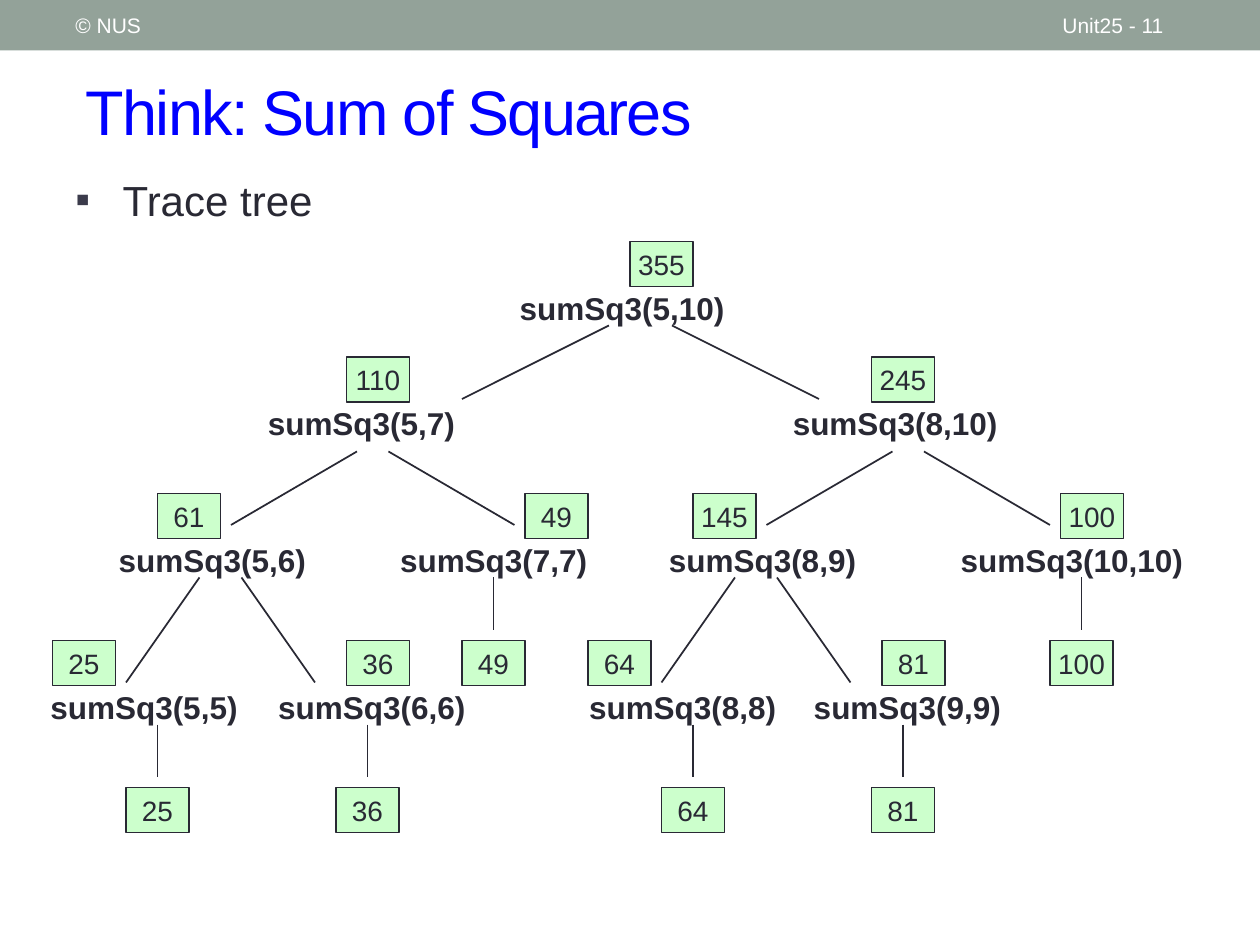
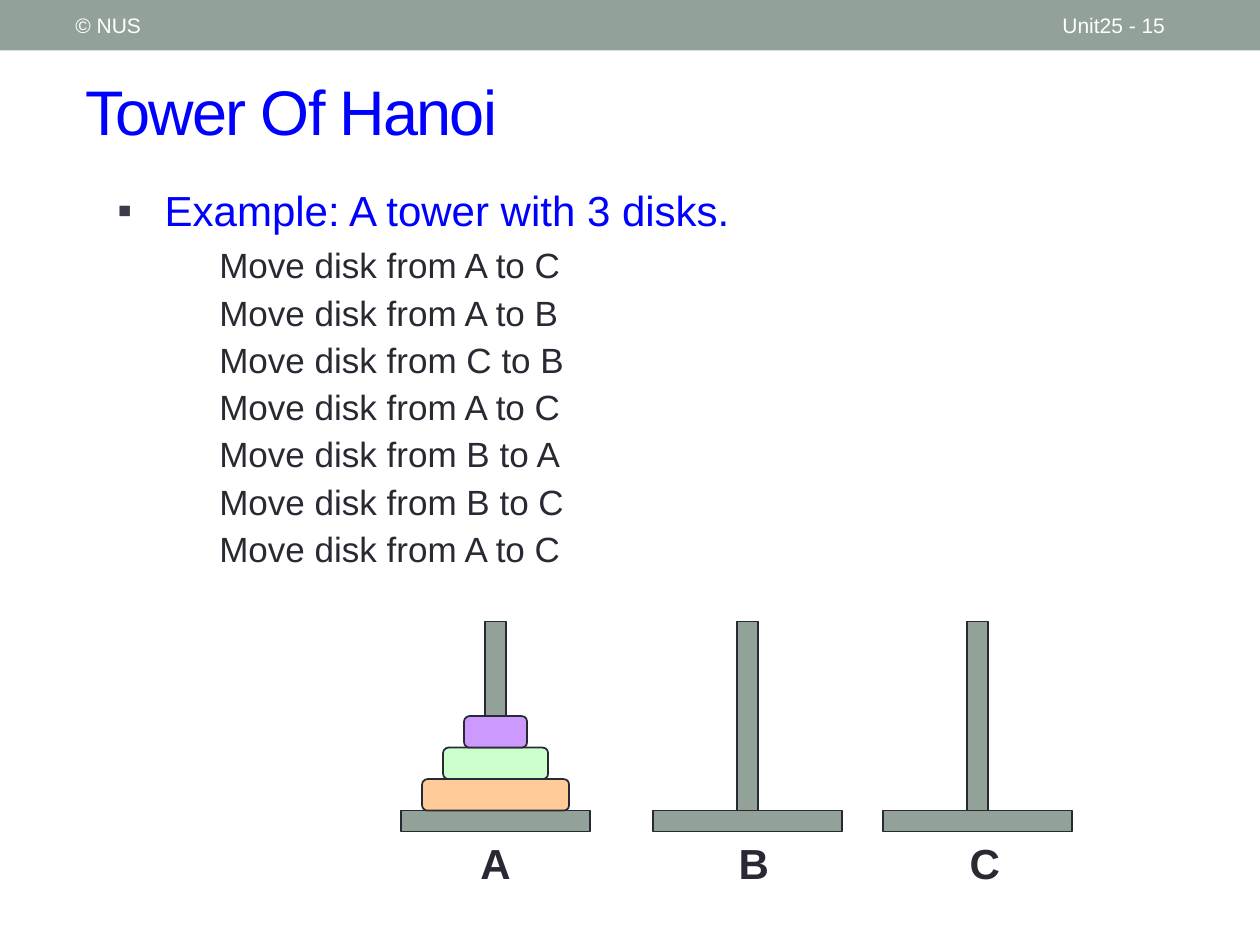
from dataclasses import dataclass

from lxml.etree import SubElement
from pptx import Presentation
from pptx.dml.color import RGBColor
from pptx.enum.shapes import MSO_CONNECTOR as CONN, MSO_SHAPE as SHAPE
from pptx.enum.text import MSO_ANCHOR as ANCHOR, PP_ALIGN as ALIGN
from pptx.oxml.ns import qn
from pptx.util import Emu, Pt

PX = 914400 // 120
FONT = "Arial"
BAND, INK, BLUE, WHITE = "93A299", "292934", "0000FF", "FFFFFF"
BULLET, GREEN, ORANGE, PURPLE = "3B3B4B", "CCFFCC", "FFCC99", "CC99FF"
VALUE_W, VALUE_H = 60, 43
ROW_TOPS = (230, 340, 470, 610)
BASE_TOP, BASE_W, POLE_W, DISK_H = 772, 180, 20, 30


@dataclass(frozen=True)
class Box:
    x: int
    y: int
    w: int
    h: int


@dataclass(frozen=True)
class Style:
    size: int
    color: str = INK
    bold: bool = False
    spacing: int = 0


@dataclass(frozen=True)
class Call:
    args: str
    row: int
    label_x: int
    label_w: int
    value: int
    value_x: int


@dataclass(frozen=True)
class Branch:
    left: int
    right: int
    y: int
    dx: int
    dy: int


@dataclass(frozen=True)
class Leaf:
    value: int
    x: int
    y: int


@dataclass(frozen=True)
class Peg:
    name: str
    x: int
    label_x: int


@dataclass(frozen=True)
class Disk:
    w: int
    color: str


TITLE = Style(36, BLUE, spacing=-100)
HEADER = Style(12, WHITE)
CALL = Style(18, bold=True)
VALUE = Style(16)
PEG = Style(24, bold=True)

CALLS = (
    Call("5,10", 0, 490, 290, 355, 600),
    Call("5,7", 1, 250, 270, 110, 330),
    Call("8,10", 1, 750, 270, 245, 830),
    Call("5,6", 2, 108, 192, 61, 150),
    Call("7,7", 2, 376, 194, 49, 500),
    Call("8,9", 2, 632, 198, 145, 660),
    Call("10,10", 2, 910, 228, 100, 1010),
    Call("5,5", 3, 43, 197, 25, 50),
    Call("6,6", 3, 260, 199, 36, 330),
    Call("8,8", 3, 556, 194, 64, 560),
    Call("9,9", 3, 770, 198, 81, 840),
)
BRANCHES = (
    Branch(580, 640, 310, 140, 70),
    Branch(340, 370, 430, 120, 70),
    Branch(850, 880, 430, 120, 70),
    Branch(190, 230, 550, 70, 100),
    Branch(700, 740, 550, 70, 100),
)
LEAVES = (
    Leaf(49, 470, 550),
    Leaf(100, 1030, 550),
    Leaf(25, 150, 690),
    Leaf(36, 350, 690),
    Leaf(64, 660, 690),
    Leaf(81, 860, 690),
)
PEGS = (Peg("A", 382, 442), Peg("B", 622, 688), Peg("C", 841, 908))
DISKS = (Disk(140, ORANGE), Disk(100, GREEN), Disk(60, PURPLE))
MOVES = ("AC", "AB", "CB", "AC", "BA", "BC", "AC")


def px(n: int) -> Emu:
    return Emu(n * PX)


def rgb(color: str) -> RGBColor:
    return RGBColor.from_string(color)


def bounds(box: Box) -> tuple[Emu, ...]:
    return px(box.x), px(box.y), px(box.w), px(box.h)


def add_run(p, text: str, style: Style) -> None:
    r = p.add_run()
    r.text = text
    r.font.name = FONT
    r.font.size = Pt(style.size)
    r.font.bold = style.bold
    r.font.color.rgb = rgb(style.color)
    if style.spacing:
        r._r.get_or_add_rPr().set("spc", str(style.spacing))


def set_frame(sp, inset_x: int, inset_y: int, anchor=ANCHOR.TOP):
    tf = sp.text_frame
    tf.word_wrap = True
    tf.margin_left = tf.margin_right = px(inset_x)
    tf.margin_top = tf.margin_bottom = px(inset_y)
    tf.vertical_anchor = anchor
    return tf


def add_text(s, box: Box, text: str, style: Style, align=ALIGN.LEFT,
             anchor=ANCHOR.TOP, inset_x: int = 12, inset_y: int = 6) -> None:
    tf = set_frame(s.shapes.add_textbox(*bounds(box)), inset_x, inset_y, anchor)
    p = tf.paragraphs[0]
    p.alignment = align
    add_run(p, text, style)


def add_block(s, box: Box, fill: str, kind=SHAPE.RECTANGLE, outlined: bool = True):
    sp = s.shapes.add_shape(kind, *bounds(box))
    sp.shadow.inherit = False
    sp.fill.solid()
    sp.fill.fore_color.rgb = rgb(fill)
    if outlined:
        sp.line.color.rgb = rgb(INK)
        sp.line.width = Pt(1)
    else:
        sp.line.fill.background()
    return sp


def add_line(s, x1: int, y1: int, x2: int, y2: int) -> None:
    line = s.shapes.add_connector(CONN.STRAIGHT, px(x1), px(y1), px(x2), px(y2))
    line.line.color.rgb = rgb(INK)
    line.line.width = Pt(1)
    SubElement(line._element.spPr, qn("a:effectLst"))


def indent(p, left: int, first: int = 0) -> None:
    pPr = p._p.get_or_add_pPr()
    pPr.set("marL", str(px(left)))
    pPr.set("indent", str(px(first)))


def add_bullet(p, text: str, style: Style) -> None:
    indent(p, 45, -45)
    pPr = p._p.get_or_add_pPr()
    SubElement(SubElement(pPr, qn("a:buClr")), qn("a:srgbClr"), val=BULLET)
    SubElement(pPr, qn("a:buFont"), typeface=FONT)
    SubElement(pPr, qn("a:buChar"), char="▪")
    add_run(p, text, style)


def add_body(s, box: Box):
    return set_frame(s.shapes.add_textbox(*bounds(box)), 12, 6)


def new_slide(prs, title: str, page: int):
    s = prs.slides.add_slide(prs.slide_layouts[6])
    add_block(s, Box(0, 0, 1200, 48), BAND, outlined=False)
    add_text(s, Box(70, 50, 1100, 110), title, TITLE, anchor=ANCHOR.MIDDLE)
    add_text(s, Box(1000, 2, 140, 44), f"Unit25 - {page}", HEADER, anchor=ANCHOR.MIDDLE)
    add_text(s, Box(60, 2, 380, 44), "© NUS", HEADER, anchor=ANCHOR.MIDDLE)
    return s


def add_value(s, x: int, y: int, value: int) -> None:
    sp = add_block(s, Box(x, y, VALUE_W, VALUE_H), GREEN)
    p = set_frame(sp, 5, 5, ANCHOR.MIDDLE).paragraphs[0]
    p.alignment = ALIGN.CENTER
    add_run(p, str(value), VALUE)


def add_call(s, call: Call) -> None:
    top = ROW_TOPS[call.row]
    add_text(s, Box(call.label_x, top + 40, call.label_w, 46),
             f"sumSq3({call.args})", CALL, inset_x=5, inset_y=5)
    add_value(s, call.value_x, top, call.value)


def add_branch(s, b: Branch) -> None:
    add_line(s, b.left, b.y, b.left - b.dx, b.y + b.dy)
    add_line(s, b.right, b.y, b.right + b.dx, b.y + b.dy)


def add_leaf(s, leaf: Leaf) -> None:
    add_line(s, leaf.x, leaf.y, leaf.x, leaf.y + 50)
    add_value(s, leaf.x - VALUE_W // 2, leaf.y + 60, leaf.value)


def add_peg(s, peg: Peg) -> None:
    add_block(s, Box(peg.x, BASE_TOP, BASE_W, POLE_W), BAND)
    pole_x = peg.x + (BASE_W - POLE_W) // 2
    add_block(s, Box(pole_x, BASE_TOP - BASE_W, POLE_W, BASE_W), BAND)
    add_text(s, Box(peg.label_x, BASE_TOP + POLE_W, 60, 60), peg.name, PEG, ALIGN.CENTER)


def add_disk(s, peg: Peg, level: int, disk: Disk) -> None:
    x = peg.x + (BASE_W - disk.w) // 2
    y = BASE_TOP - DISK_H * (level + 1)
    sp = add_block(s, Box(x, y, disk.w, DISK_H), disk.color, SHAPE.ROUNDED_RECTANGLE)
    sp.adjustments[0] = 0.17


def build_trace_tree(prs) -> None:
    s = new_slide(prs, "Think: Sum of Squares", 11)
    tf = add_body(s, Box(60, 160, 330, 71))
    add_bullet(tf.paragraphs[0], "Trace tree", Style(24))
    for branch in BRANCHES:
        add_branch(s, branch)
    for call in CALLS:
        add_call(s, call)
    for leaf in LEAVES:
        add_leaf(s, leaf)


def build_hanoi(prs) -> None:
    s = new_slide(prs, "Tower Of Hanoi", 15)
    tf = add_body(s, Box(100, 170, 1050, 660))
    p = tf.paragraphs[0]
    p.alignment = ALIGN.JUSTIFY
    p.space_after = Pt(2)
    add_bullet(p, "Example: A tower with 3 disks.", Style(24, BLUE))
    for source, target in MOVES:
        p = tf.add_paragraph()
        p.level = 1
        p.alignment = ALIGN.JUSTIFY
        p.space_before = Pt(3)
        indent(p, 97)
        add_run(p, f"Move disk from {source} to {target}", Style(20))
    for peg in PEGS:
        add_peg(s, peg)
    for level, disk in enumerate(DISKS):
        add_disk(s, PEGS[0], level, disk)


def main() -> None:
    prs = Presentation()
    prs.slide_width, prs.slide_height = px(1200), px(900)
    build_trace_tree(prs)
    build_hanoi(prs)
    prs.save("out.pptx")


if __name__ == "__main__":
    main()
